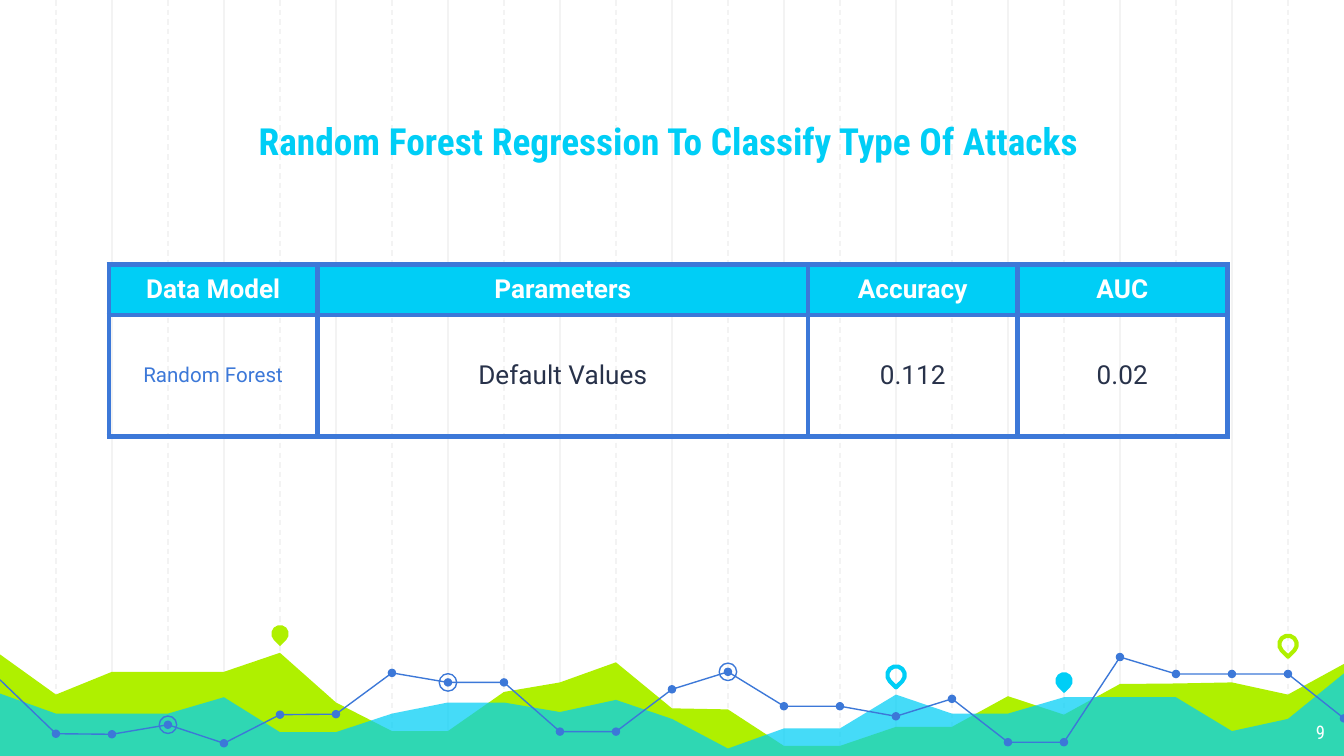
from typing import NamedTuple, Optional

from lxml import etree
from pptx import Presentation
from pptx.dml.color import RGBColor
from pptx.enum.dml import MSO_LINE
from pptx.enum.shapes import MSO_CONNECTOR, MSO_SHAPE
from pptx.enum.text import MSO_ANCHOR, PP_ALIGN
from pptx.oxml.ns import qn
from pptx.util import Cm, Pt

STRAIGHT = MSO_CONNECTOR.STRAIGHT
ELLIPSE, TEARDROP = MSO_SHAPE.OVAL, MSO_SHAPE.TEAR
DASH = MSO_LINE.DASH
TOP, MIDDLE, BOTTOM = MSO_ANCHOR.TOP, MSO_ANCHOR.MIDDLE, MSO_ANCHOR.BOTTOM
CENTER, RIGHT = PP_ALIGN.CENTER, PP_ALIGN.RIGHT

WIDTH, HEIGHT = 25.4, 14.29
COLUMNS = 24
STEP = WIDTH / COLUMNS
CYAN, LIME, BLUE = "00CEF6", "AFF000", "3C78D8"
WHITE, GRID, INK = "FFFFFF", "F3F3F3", "28324A"
BODY_FONT, HEADING_FONT = "Roboto", "Roboto Condensed"

LIME_HEIGHTS = [12.37, 13.13, 12.7, 12.7, 12.7, 12.34, 13.28, 13.82, 13.82,
                13.08, 12.9, 12.52, 13.39, 13.41, 14.1, 14.1, 13.74, 13.74,
                13.16, 13.51, 12.93, 12.92, 12.9, 13.13, 12.55]
CYAN_HEIGHTS = [13.11, 13.49, 13.49, 13.49, 13.18, 13.84, 13.84, 13.49, 13.28,
                13.28, 13.46, 13.23, 13.59, 14.15, 13.77, 13.77, 13.13, 13.49,
                13.49, 13.18, 13.18, 13.18, 13.82, 13.59, 12.73]
TREND_HEIGHTS = [12.85, 13.87, 13.88, 13.7, 14.05, 13.51, 13.5, 12.72, 12.9,
                 12.9, 13.83, 13.83, 13.03, 12.7, 13.35, 13.35, 13.54, 13.21,
                 14.03, 14.03, 12.42, 12.74, 12.74, 12.74, 13.58]
TREND_BREAKS = [0, 11, 20, 24]
RINGED_COLUMNS = [3, 8, 13]


class Marker(NamedTuple):
    column: int
    middle: float
    size: float
    fill: Optional[str] = None
    line: Optional[str] = None
    weight: float = 0.75


class Column(NamedTuple):
    heading: str
    value: str
    width: float
    size: int = 14
    color: str = INK


PINS = [
    Marker(5, 11.98, 0.33, fill=LIME),
    Marker(16, 12.76, 0.33, line=CYAN, weight=2.25),
    Marker(19, 12.87, 0.33, fill=CYAN),
    Marker(23, 12.18, 0.33, line=LIME, weight=2.25),
]
RESULTS = [
    Column("Data Model", "Random Forest", 3.94, 11, BLUE),
    Column("Parameters", "Default Values", 9.27),
    Column("Accuracy", "0.112", 3.96),
    Column("AUC", "0.02", 3.96),
]


def rgb(color: str) -> RGBColor:
    """Turn a hex string into a colour."""
    return RGBColor.from_string(color)


def style(shape, fill: Optional[str] = None, line: Optional[str] = None,
          weight: float = 0.75) -> None:
    """Set fill and outline, leaving out whichever is not given."""
    shape.shadow.inherit = False
    if fill:
        shape.fill.solid()
        shape.fill.fore_color.rgb = rgb(fill)
    else:
        shape.fill.background()
    if line:
        shape.line.color.rgb = rgb(line)
        shape.line.width = Pt(weight)
    else:
        shape.line.fill.background()


def draw_gridline(shapes, column: int) -> None:
    """Draw a vertical gridline, dashed on odd columns."""
    x = Cm(column * STEP)
    gridline = shapes.add_connector(STRAIGHT, x, 0, x, Cm(HEIGHT))
    gridline.line.color.rgb = rgb(GRID)
    gridline.line.width = Pt(0.75)
    if column % 2:
        gridline.line.dash_style = DASH
    etree.SubElement(gridline._element.spPr, qn("a:effectLst"))


def draw_outline(shapes, points: list, closed: bool):
    """Build a freeform through points given in centimetres."""
    start, *rest = [(Cm(x), Cm(y)) for x, y in points]
    builder = shapes.build_freeform(*start)
    builder.add_line_segments(rest, close=closed)
    return builder.convert_to_shape()


def draw_area(shapes, heights: list, color: str, opacity: int = 100) -> None:
    """Fill the area from the heights down to the slide's bottom edge."""
    ridge = [(column * STEP, y) for column, y in enumerate(heights)]
    area = draw_outline(shapes, ridge + [(WIDTH, HEIGHT), (0, HEIGHT)], True)
    style(area, fill=color)
    if opacity < 100:
        tint = area._element.spPr.find(".//" + qn("a:srgbClr"))
        etree.SubElement(tint, qn("a:alpha"), val=str(opacity * 1000))


def draw_trend(shapes, first: int, last: int) -> None:
    """Draw the trend line between two columns."""
    points = [(column * STEP, TREND_HEIGHTS[column])
              for column in range(first, last + 1)]
    style(draw_outline(shapes, points, False), line=BLUE)


def draw_marker(shapes, kind, marker: Marker, rotation: int = 0) -> None:
    """Draw a marker centred on its grid column."""
    shape = shapes.add_shape(
        kind, Cm(marker.column * STEP - marker.size / 2),
        Cm(marker.middle - marker.size / 2), Cm(marker.size), Cm(marker.size))
    shape.rotation = rotation
    style(shape, marker.fill, marker.line, marker.weight)


def write(frame, text: str, *, size: int, color: str, font: str = BODY_FONT,
          bold: bool = False, align=CENTER) -> None:
    """Write one formatted paragraph into a text frame."""
    paragraph = frame.paragraphs[0]
    paragraph.alignment = align
    run = paragraph.add_run()
    run.text = text
    run.font.size = Pt(size)
    run.font.name = font
    run.font.bold = bold
    run.font.color.rgb = rgb(color)


def add_label(shapes, box: tuple, anchor, text: str, **text_format) -> None:
    """Add a wrapped text box with even margins."""
    frame = shapes.add_textbox(*map(Cm, box)).text_frame
    frame.word_wrap = True
    frame.vertical_anchor = anchor
    frame.margin_left = frame.margin_right = Cm(0.25)
    frame.margin_top = frame.margin_bottom = Cm(0.25)
    write(frame, text, **text_format)


def fill_cell(cell, text: str, fill: Optional[str] = None, **text_format) -> None:
    """Border, fill and write one table cell."""
    properties = cell._tc.get_or_add_tcPr()
    for side in ("a:lnL", "a:lnR", "a:lnT", "a:lnB"):
        border = etree.SubElement(properties, qn(side), w=str(Pt(3)))
        paint = etree.SubElement(border, qn("a:solidFill"))
        etree.SubElement(paint, qn("a:srgbClr"), val=BLUE)
    if fill:
        cell.fill.solid()
        cell.fill.fore_color.rgb = rgb(fill)
    else:
        cell.fill.background()
    cell.vertical_anchor = MIDDLE
    cell.margin_left = cell.margin_right = Cm(0.25)
    cell.margin_top = cell.margin_bottom = Cm(0.18)
    write(cell.text_frame, text, **text_format)


def add_results(shapes) -> None:
    """Add the table of model results."""
    total = sum(column.width for column in RESULTS)
    results = shapes.add_table(2, len(RESULTS), Cm(2.06), Cm(5), Cm(total), Cm(3.18)).table
    results.first_row = results.horz_banding = False
    results.rows[0].height, results.rows[1].height = Cm(0.89), Cm(2.29)
    for index, column in enumerate(RESULTS):
        results.columns[index].width = Cm(column.width)
        fill_cell(results.cell(0, index), column.heading, CYAN,
                  size=14, color=WHITE, bold=True)
        fill_cell(results.cell(1, index), column.value,
                  size=column.size, color=column.color)


def main() -> None:
    """Build and save the slide."""
    deck = Presentation()
    deck.slide_width, deck.slide_height = Cm(WIDTH), Cm(HEIGHT)
    shapes = deck.slides.add_slide(deck.slide_layouts[6]).shapes
    for column in [*range(2, COLUMNS, 2), *range(1, COLUMNS, 2)]:
        draw_gridline(shapes, column)
    draw_area(shapes, LIME_HEIGHTS, LIME)
    draw_area(shapes, CYAN_HEIGHTS, CYAN, opacity=73)
    for pin in PINS:
        draw_marker(shapes, TEARDROP, pin, rotation=135)
    for first, last in zip(TREND_BREAKS, TREND_BREAKS[1:]):
        draw_trend(shapes, first, last)
    for column in range(1, COLUMNS + 1):
        draw_marker(shapes, ELLIPSE, Marker(column, TREND_HEIGHTS[column], 0.16, fill=BLUE))
    for column in RINGED_COLUMNS:
        draw_marker(shapes, ELLIPSE, Marker(column, TREND_HEIGHTS[column], 0.33, line=BLUE))
    add_label(shapes, (2.92, 1.35, 19.43, 1.98), BOTTOM,
              "Random Forest Regression To Classify Type Of Attacks",
              size=20, color=CYAN, font=HEADING_FONT, bold=True)
    add_label(shapes, (23.77, 13.41, 1.52, 0.89), TOP, "9",
              size=10, color=WHITE, font=HEADING_FONT, align=RIGHT)
    add_results(shapes)
    deck.save("out.pptx")


if __name__ == "__main__":
    main()
